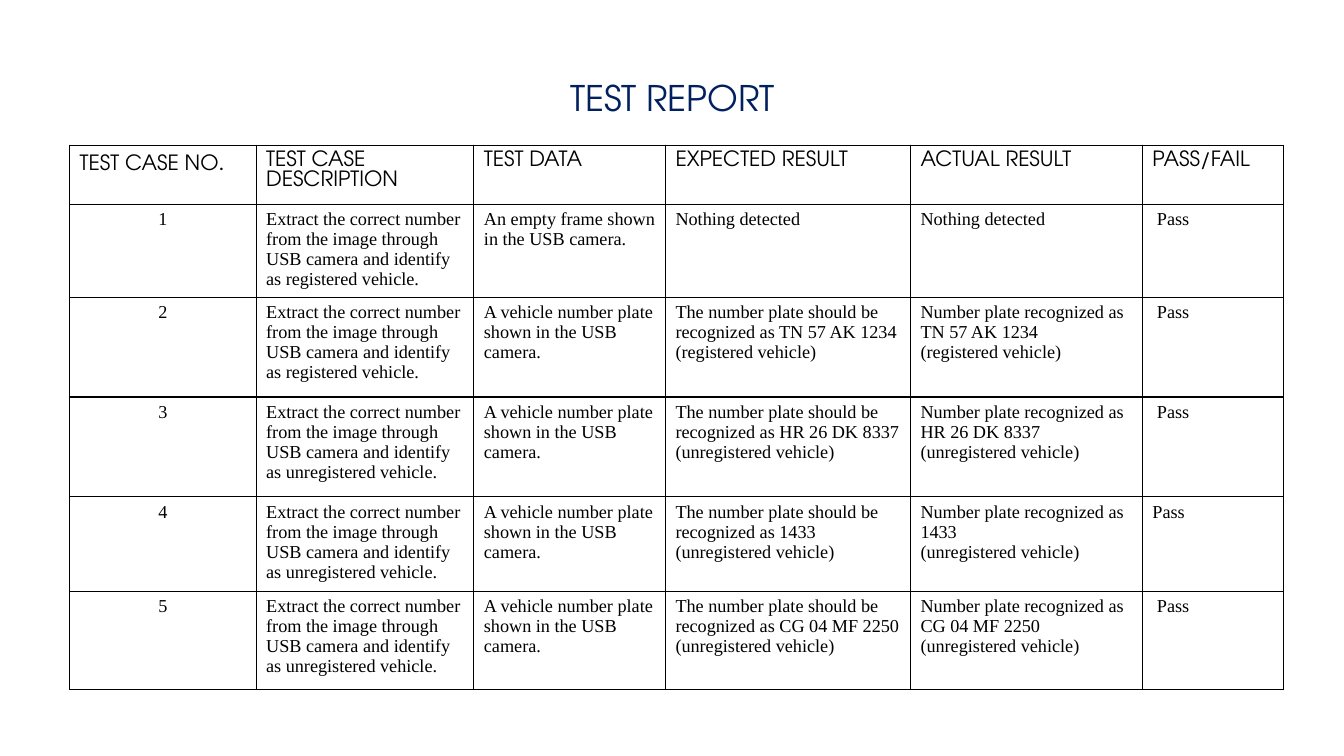
import pptx
import pptx.dml.color
import pptx.enum.text
import pptx.oxml
import pptx.oxml.ns
import pptx.util
from pptx.util import Inches

NAVY = pptx.dml.color.RGBColor(0x00, 0x20, 0x60)
BLACK = pptx.dml.color.RGBColor(0x00, 0x00, 0x00)
CENTER = pptx.enum.text.PP_ALIGN.CENTER
LEFT = pptx.enum.text.PP_ALIGN.LEFT
MIDDLE = pptx.enum.text.MSO_ANCHOR.MIDDLE
HEADING_FONT = "TeX Gyre Adventor"
TITLE_FORMAT = {"name": HEADING_FONT, "size": pptx.util.Pt(25.2)}
HEADING_FORMAT = {"name": HEADING_FONT, "size": pptx.util.Pt(15)}
BODY_FORMAT = {"name": "Times New Roman", "size": pptx.util.Pt(13)}
LINE_PITCH = pptx.util.Pt(14.3)

COLUMN_WIDTHS = [1.85, 2.16, 1.9, 2.43, 2.3, 1.4]
ROW_HEIGHTS = [0.59, 0.92, 0.99, 0.99, 0.94, 0.97]
HEADINGS = ["TEST CASE NO", "TEST CASE DESCRIPTION", "TEST DATA",
            "EXPECTED RESULT", "ACTUAL RESULT", "PASS/FAIL"]
PLATE_CASES = [
    ("TN 57 AK 1234", "registered", " Pass"),
    ("HR 26 DK 8337", "unregistered", " Pass"),
    ("1433", "unregistered", "Pass"),
    ("CG 04 MF 2250", "unregistered", " Pass"),
]


def add_run(paragraph, text, font_format, color):
    """Append a formatted run to a paragraph."""
    run = paragraph.add_run()
    run.text = text
    for attribute, value in font_format.items():
        setattr(run.font, attribute, value)
    run.font.color.rgb = color


def add_title(slide, text):
    """Add the centred slide title."""
    title = slide.shapes.add_textbox(
        Inches(0.92), Inches(0.74), Inches(11.5), Inches(0.5))
    frame_format = {"word_wrap": True, "vertical_anchor": MIDDLE}
    for attribute, value in frame_format.items():
        setattr(title.text_frame, attribute, value)
    paragraph = title.text_frame.paragraphs[0]
    paragraph.alignment = CENTER
    paragraph.line_spacing = 0.9
    add_run(paragraph, text, TITLE_FORMAT, NAVY)


def describe(status):
    """Return the description of a test for a vehicle of this status."""
    return ("Extract the correct number from the image through USB camera "
            f"and identify as {status} vehicle.")


def report_rows():
    """Return the text of every test case, row by row."""
    rows = [["1", describe("registered"),
             "An empty frame shown in the USB camera.",
             "Nothing detected", "Nothing detected", " Pass"]]
    for number, (plate, status, verdict) in enumerate(PLATE_CASES, start=2):
        rows.append([
            str(number), describe(status),
            "A vehicle number plate shown in the USB camera.",
            f"The number plate should be recognized as {plate}\n({status} vehicle)",
            f"Number plate recognized as\n{plate}\n({status} vehicle)",
            verdict])
    return rows


def outline_cell(cell):
    """Draw black borders round a cell and leave it unfilled."""
    properties = cell._tc.get_or_add_tcPr()
    for side in ("lnL", "lnR", "lnT", "lnB"):
        properties.append(pptx.oxml.parse_xml(
            f'<a:{side} {pptx.oxml.ns.nsdecls("a")} w="12700"><a:solidFill>'
            f'<a:srgbClr val="{BLACK}"/></a:solidFill></a:{side}>'))
    cell.fill.background()


def fill_cell(cell, text, font_format, alignment, pitch):
    """Write one paragraph per line of text into a cell."""
    outline_cell(cell)
    for index, line in enumerate(text.split("\n")):
        frame = cell.text_frame
        paragraph = frame.add_paragraph() if index else frame.paragraphs[0]
        paragraph.alignment = alignment
        paragraph.line_spacing = pitch
        add_run(paragraph, line, font_format, BLACK)


def add_report(slide):
    """Add the table of test cases."""
    report = slide.shapes.add_table(
        len(ROW_HEIGHTS), len(COLUMN_WIDTHS), Inches(0.69), Inches(1.44),
        Inches(sum(COLUMN_WIDTHS)), Inches(sum(ROW_HEIGHTS))).table
    for attribute, value in {"first_row": False, "horz_banding": False}.items():
        setattr(report, attribute, value)
    for column, width in zip(report.columns, COLUMN_WIDTHS):
        column.width = Inches(width)
    for row, height in zip(report.rows, ROW_HEIGHTS):
        row.height = Inches(height)
    for column, heading in enumerate(HEADINGS):
        fill_cell(report.cell(0, column), heading, HEADING_FORMAT, LEFT,
                  LINE_PITCH if column else 1.0)
    add_run(report.cell(0, 0).text_frame.paragraphs[0], ".",
            {**HEADING_FORMAT, "name": "Calibri"}, BLACK)
    for row, case in enumerate(report_rows(), start=1):
        for column, text in enumerate(case):
            fill_cell(report.cell(row, column), text, BODY_FORMAT,
                      LEFT if column else CENTER, LINE_PITCH)


def main():
    """Build and save the test report slide."""
    presentation = pptx.Presentation()
    presentation.slide_width = Inches(13.33)
    presentation.slide_height = Inches(7.5)
    slide = presentation.slides.add_slide(presentation.slide_layouts[6])
    add_title(slide, "TEST REPORT")
    add_report(slide)
    presentation.save("out.pptx")


if __name__ == "__main__":
    main()
